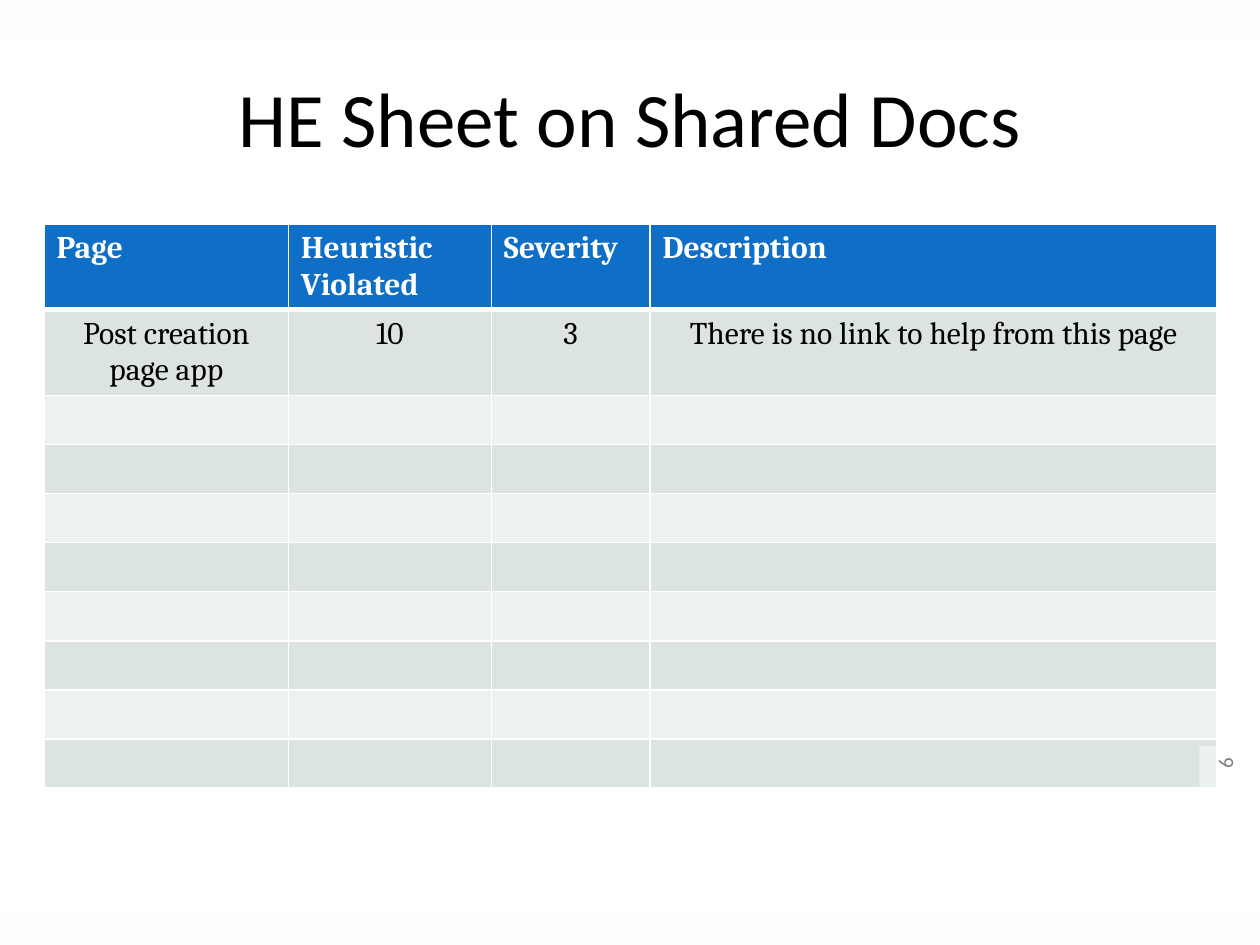
from lxml import etree
from pptx import Presentation
from pptx.dml.color import RGBColor
from pptx.enum.shapes import MSO_SHAPE
from pptx.enum.text import MSO_ANCHOR, PP_ALIGN
from pptx.oxml.ns import qn
from pptx.util import Inches, Pt

CENTER, LEFT, RIGHT = PP_ALIGN.CENTER, PP_ALIGN.LEFT, PP_ALIGN.RIGHT
MIDDLE = MSO_ANCHOR.MIDDLE
RECTANGLE = MSO_SHAPE.RECTANGLE

WHITE = RGBColor(0xFF, 0xFF, 0xFF)
BLACK = RGBColor(0x00, 0x00, 0x00)
GRAY = RGBColor(0x80, 0x80, 0x80)
HEADER_BLUE = RGBColor(0x0F, 0x6F, 0xC6)
BAND_DARK = RGBColor(0xDB, 0xE3, 0xE3)
BAND_LIGHT = RGBColor(0xEE, 0xF1, 0xF2)

COLUMN_WIDTHS = [1.94, 1.61, 1.26, 4.5]
ROW_HEIGHTS = [0.67, 0.68] + [0.39] * 8
FADE_STOPS = {0: 49, 50: 77, 100: 100}  # position: opacity, in percent
SHEET_TEXT = [
    ["Page", "Heuristic\vViolated", "Severity", "Description"],
    ["Post creation page app", "10", "3", "There is no link to help from this page"],
]


def place(shape, box):
    shape.left, shape.top, shape.width, shape.height = map(Inches, box)


def format_text(para, name, size, color, align, bold=False):
    para.alignment = align
    for span in para.runs:
        span.font.name, span.font.size, span.font.bold = name, Pt(size), bold
        span.font.color.rgb = color


def add_rectangle(page, box, rotation=0):
    shape = page.shapes.add_shape(RECTANGLE, *map(Inches, box))
    shape.rotation = rotation
    shape.shadow.inherit = False
    shape.line.fill.background()
    return shape


def set_opacity(color, percent):
    etree.SubElement(color, qn("a:alpha"), val=str(percent * 1000))


def add_fade(page, box, rotation=0):
    """Add a white edge band that fades vertically, behind the other parts."""
    band = add_rectangle(page, box, rotation)
    band.fill.gradient()
    gradient = band._element.spPr.find(qn("a:gradFill"))
    stops = gradient.find(qn("a:gsLst"))
    for stop in list(stops):
        stops.remove(stop)
    for position, opacity in FADE_STOPS.items():
        stop = etree.SubElement(stops, qn("a:gs"), pos=str(position * 1000))
        set_opacity(etree.SubElement(stop, qn("a:srgbClr"), val=str(WHITE)), opacity)
    gradient.find(qn("a:lin")).set("ang", str(90 * 60000))
    page.shapes._spTree.insert(2, band._element)


def set_borders(cell, widths):
    """Draw white cell borders; widths maps each side to points."""
    properties = cell._tc.get_or_add_tcPr()
    for position, (side, width) in enumerate(widths.items()):
        line = etree.Element(qn(f"a:ln{side}"), w=str(Pt(width)))
        fill = etree.SubElement(line, qn("a:solidFill"))
        etree.SubElement(fill, qn("a:srgbClr"), val=str(WHITE))
        properties.insert(position, line)


def add_title(page, box, text):
    title = page.shapes.title
    place(title, box)
    title.text_frame.text = text
    title.text_frame.vertical_anchor = MIDDLE
    format_text(title.text_frame.paragraphs[0], "Calibri", 44, BLACK, CENTER)


def add_sheet(page, box):
    frame = page.shapes.add_table(
        len(ROW_HEIGHTS), len(COLUMN_WIDTHS), *map(Inches, box))
    table = frame.table
    for column, width in zip(table.columns, COLUMN_WIDTHS):
        column.width = Inches(width)
    for index, (row, height) in enumerate(zip(table.rows, ROW_HEIGHTS)):
        row.height = Inches(height)
        header = index == 0
        band = BAND_DARK if index % 2 else BAND_LIGHT
        borders = {"L": 1, "R": 1, "T": 3 if index == 1 else 1, "B": 3 if header else 1}
        for cell in row.cells:
            cell.fill.solid()
            cell.fill.fore_color.rgb = HEADER_BLUE if header else band
            set_borders(cell, borders)
            # Keep the empty rows at their set height
            if index >= len(SHEET_TEXT):
                para = cell.text_frame.paragraphs[0]
                etree.SubElement(para._p, qn("a:endParaRPr"), sz="1600")
    # Header and first finding
    for index, texts in enumerate(SHEET_TEXT):
        header = index == 0
        for cell, text in zip(table.rows[index].cells, texts):
            para = cell.text_frame.paragraphs[0]
            para.text = text
            format_text(para, "Cambria", 18, WHITE if header else BLACK,
                        LEFT if header else CENTER, header)


def add_page_number(page, box, number):
    label = add_rectangle(page, box, 270)
    label.fill.solid()
    label.fill.fore_color.rgb = WHITE
    set_opacity(label._element.spPr.find(qn("a:solidFill"))[0], 47)
    label.text_frame.text = number
    label.text_frame.vertical_anchor = MIDDLE
    format_text(label.text_frame.paragraphs[0], "Calibri", 12, GRAY, RIGHT)


def main():
    deck = Presentation()
    deck.slide_width, deck.slide_height = Inches(10), Inches(7.5)
    page = deck.slides.add_slide(deck.slide_layouts[5])
    add_fade(page, (-0.02, 0, 10.05, 0.34))
    add_fade(page, (0, 7.21, 10.02, 0.29), 180)
    add_title(page, (0.5, 0.3, 9, 1.25), "HE Sheet on Shared Docs")
    add_sheet(page, (0.35, 1.78, sum(COLUMN_WIDTHS), sum(ROW_HEIGHTS)))
    add_page_number(page, (9, 6.44, 1.44, 0.4), "6")
    deck.save("out.pptx")


if __name__ == "__main__":
    main()
